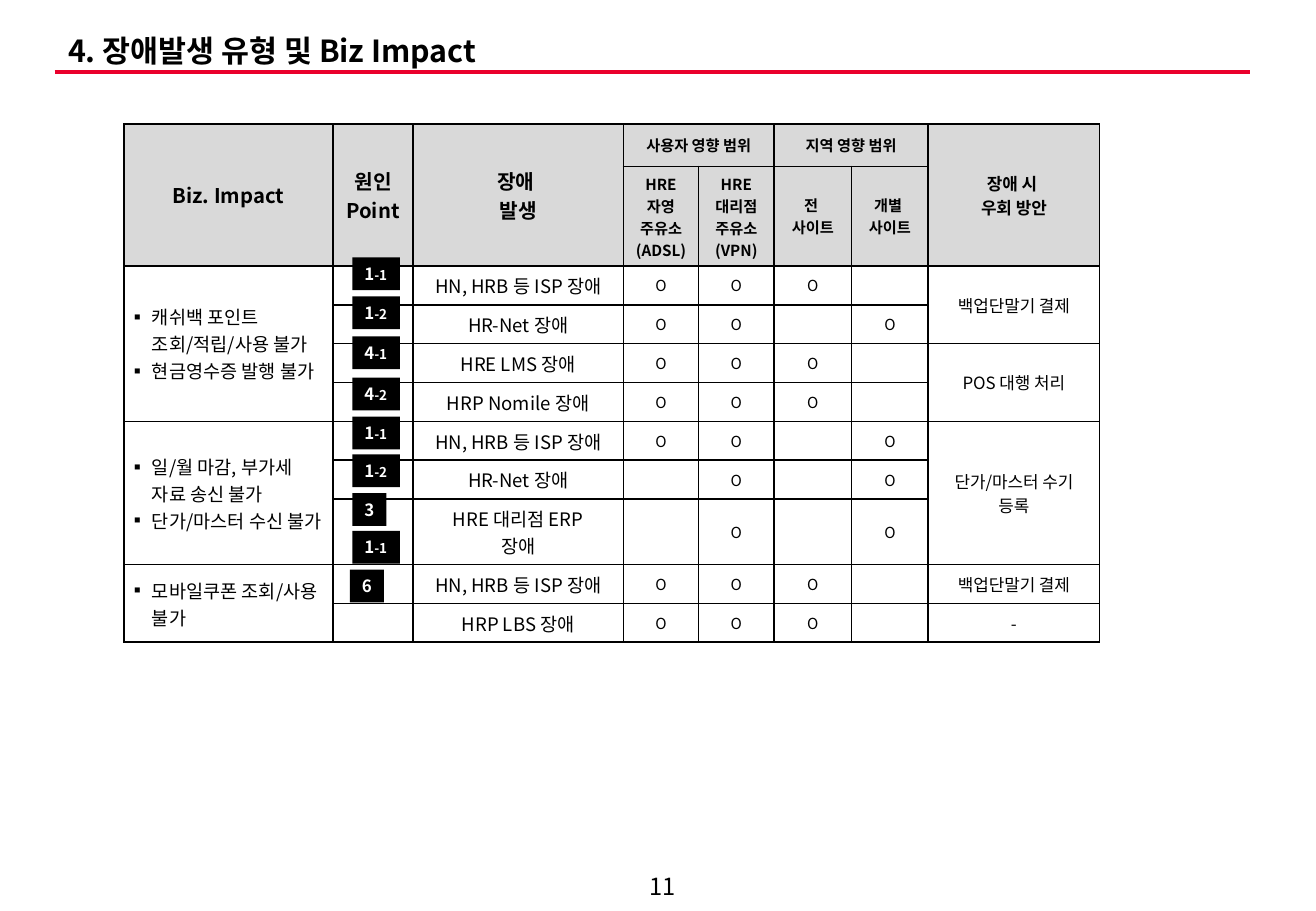
from lxml.etree import SubElement
from pptx import Presentation
from pptx.dml.color import RGBColor
from pptx.enum.shapes import MSO_CONNECTOR as Conn, MSO_SHAPE as Shape
from pptx.enum.text import MSO_ANCHOR as Anchor, PP_ALIGN as Align
from pptx.oxml.ns import qn
from pptx.util import Inches, Pt

COLORS = {"text": "000000", "badge": "000000", "badge_text": "FFFFFF",
          "rule": "EA002C", "border": "000000", "header": "D9D9D9", "body": "FFFFFF"}
FONT = "Noto Sans CJK KR"


def rgb(key):
    return RGBColor.from_string(COLORS[key])


class SlideBuilder:
    def __init__(self, prs):
        self.slide = prs.slides.add_slide(prs.slide_layouts[5])

    def style(self, p, size, bold=False, color="text", align=Align.CENTER):
        p.alignment = align
        p.font.size, p.font.bold, p.font.name = Pt(size), bold, FONT
        p.font.color.rgb = rgb(color)
        SubElement(p.font._rPr, qn("a:ea"), typeface=FONT)

    def title(self, text, x, y, w, h):
        sp = self.slide.shapes.title
        sp.left, sp.top, sp.width, sp.height = map(Inches, (x, y, w, h))
        tf = sp.text_frame
        tf.vertical_anchor = Anchor.MIDDLE
        tf.text = text
        p = tf.paragraphs[0]
        p.line_spacing = 0.9
        self.style(p, 18, True, align=Align.LEFT)

    def text(self, text, x, y, w, h, size):
        tf = self.slide.shapes.add_textbox(*map(Inches, (x, y, w, h))).text_frame
        tf.word_wrap = True
        tf.vertical_anchor = Anchor.MIDDLE
        tf.text = text
        self.style(tf.paragraphs[0], size)

    def rule(self, x1, y1, x2, y2):
        line = self.slide.shapes.add_connector(
            Conn.STRAIGHT, *map(Inches, (x1, y1, x2, y2)))
        line.line.color.rgb = rgb("rule")
        line.line.width = Pt(2.25)
        SubElement(line._element.spPr, qn("a:effectLst"))

    def badge(self, label, x, y):
        main, dash, sub = label.partition("-")
        sp = self.slide.shapes.add_shape(
            Shape.RECTANGLE, Inches(x), Inches(y),
            Inches(0.39 if sub else 0.28), Inches(0.27))
        sp.shadow.inherit = False
        sp.fill.solid()
        sp.fill.fore_color.rgb = rgb("badge")
        sp.line.fill.background()
        tf = sp.text_frame
        tf.word_wrap = False
        tf.vertical_anchor = Anchor.MIDDLE
        p = tf.paragraphs[0]
        self.style(p, 10, True, "badge_text", Align.LEFT)
        p.add_run().text = main
        if sub:
            r = p.add_run()
            r.text = dash + sub
            r.font.size = Pt(8)

    def table(self, x, y, cols, rows, header_rows):
        table = self.slide.shapes.add_table(
            len(rows), len(cols), *map(Inches, (x, y, sum(cols), sum(rows)))).table
        table.first_row = table.horz_banding = False
        for column, width in zip(table.columns, cols):
            column.width = Inches(width)
        for i, height in enumerate(rows):
            table.rows[i].height = Inches(height)
            for cell in table.rows[i].cells:
                cell.fill.solid()
                cell.fill.fore_color.rgb = rgb("header" if i < header_rows else "body")
                self.borders(cell)
                cell.text_frame.paragraphs[0]._p.get_or_add_endParaRPr().set("sz", "900")
        return table

    def borders(self, cell):
        tc_pr = cell._tc.get_or_add_tcPr()
        for i, side in enumerate(("lnL", "lnR", "lnT", "lnB")):
            ln = SubElement(tc_pr, qn(f"a:{side}"), w=str(Pt(1)))
            fill = SubElement(ln, qn("a:solidFill"))
            SubElement(fill, qn("a:srgbClr"), val=COLORS["border"])
            tc_pr.insert(i, ln)

    def cell(self, table, row, col, lines, size, bold=False, span=(1, 1),
             anchor=Anchor.MIDDLE, bullets=False):
        cell = table.cell(row, col)
        if span != (1, 1):
            cell.merge(table.cell(row + span[0] - 1, col + span[1] - 1))
        cell.vertical_anchor = anchor
        cell.text = "\n".join(lines)
        if bullets:
            cell.margin_left = cell.margin_right = Inches(0.04)
        for p in cell.text_frame.paragraphs:
            self.style(p, size, bold, align=Align.LEFT if bullets else Align.CENTER)
            if bullets:
                p_pr = p._p.get_or_add_pPr()
                p_pr.set("marL", str(Inches(0.19)))
                p_pr.set("indent", str(Inches(-0.19)))
                p_pr.insert(0, SubElement(p_pr, qn("a:buFont"), typeface=FONT))
                p_pr.insert(1, SubElement(p_pr, qn("a:buChar"), char="▪"))


# Header cells: row, column, lines, size, span
HEADERS = [
    (0, 0, ["Biz. Impact"], 12, (2, 1)),
    (0, 1, ["원인Point"], 12, (2, 1)),
    (0, 2, ["장애 ", "발생"], 12, (2, 1)),
    (0, 3, ["사용자 영향 범위"], 9, (1, 2)),
    (0, 5, ["지역 영향 범위"], 9, (1, 2)),
    (0, 7, ["장애 시 ", "우회 방안"], 10, (2, 1)),
    (1, 3, ["HRE", "자영", "주유소", "(ADSL)"], 9, (1, 1)),
    (1, 4, ["HRE", "대리점", "주유소", "(VPN)"], 9, (1, 1)),
    (1, 5, ["전 ", "사이트"], 9, (1, 1)),
    (1, 6, ["개별 ", "사이트"], 9, (1, 1)),
]
# Failure and its marks in the four scope columns
FAILURES = [
    ("HN, HRB 등 ISP 장애", "OOO-"),
    ("HR-Net 장애", "OO-O"),
    ("HRE LMS 장애", "OOO-"),
    ("HRP Nomile 장애", "OOO-"),
    ("HN, HRB 등 ISP 장애", "OO-O"),
    ("HR-Net 장애", "-O-O"),
    ("HRE 대리점 ERP\v장애", "-O-O"),
    ("HN, HRB 등 ISP 장애", "OOO-"),
    ("HRP LBS 장애", "OOO-"),
]
# First row, row count, text
IMPACTS = [
    (2, 4, ["캐쉬백 포인트 조회/적립/사용 불가", "현금영수증 발행 불가"]),
    (6, 3, ["일/월 마감, 부가세 자료 송신 불가", "단가/마스터 수신 불가"]),
    (9, 2, ["모바일쿠폰 조회/사용 불가"]),
]
DETOURS = [(2, 2, "백업단말기 결제"), (4, 2, "POS 대행 처리"),
           (6, 3, "단가/마스터 수기 등록"), (9, 1, "백업단말기 결제"), (10, 1, "-")]
BADGES = [("1-1", 2.9, 2.12), ("1-2", 2.9, 2.44), ("4-1", 2.9, 2.77),
          ("4-2", 2.9, 3.11), ("1-1", 2.9, 3.43), ("1-2", 2.9, 3.74),
          ("3", 2.9, 4.06), ("1-1", 2.9, 4.37), ("6", 2.88, 4.69)]


def main():
    prs = Presentation()
    prs.slide_width, prs.slide_height = Inches(10.83), Inches(7.5)
    s = SlideBuilder(prs)

    # Page frame
    s.text("11", 5.1, 7.14, 0.71, 0.31, 14)
    s.rule(0.45, 0.59, 10.29, 0.59)
    s.title("4. 장애발생 유형 및 Biz Impact", 0.46, 0.25, 9.53, 0.37)

    # Impact table, with two-line failures in taller rows
    row_heights = [0.54 if "\v" in failure else 0.32 for failure, _ in FAILURES]
    table = s.table(1.02, 1.02, [1.72, 0.66, 1.73, 0.62, 0.62, 0.64, 0.63, 1.41],
                    [0.35, 0.82] + row_heights, header_rows=2)
    for row, col, lines, size, span in HEADERS:
        s.cell(table, row, col, lines, size, True, span)
    for row, (failure, marks) in enumerate(FAILURES, 2):
        s.cell(table, row, 2, [failure], 11, anchor=Anchor.TOP)
        for col, mark in enumerate(marks, 3):
            if mark == "O":
                s.cell(table, row, col, [mark], 9)
    for row, count, lines in IMPACTS:
        s.cell(table, row, 0, lines, 11, span=(count, 1), bullets=True)
    for row, count, detour in DETOURS:
        s.cell(table, row, 7, [detour], 10, span=(count, 1))

    # Cause point badges
    for label, x, y in BADGES:
        s.badge(label, x, y)

    prs.save("out.pptx")


if __name__ == "__main__":
    main()
